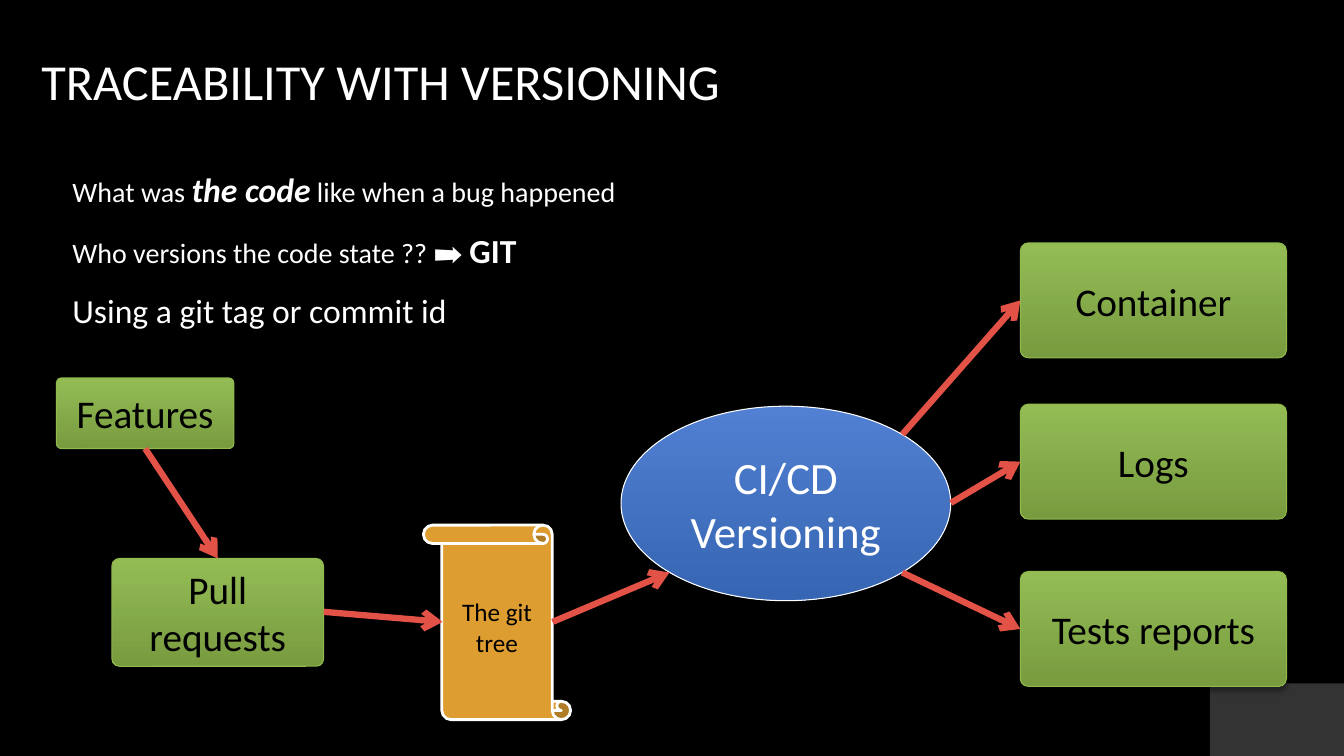
from dataclasses import dataclass

from lxml import etree
from pptx import Presentation
from pptx.dml.color import RGBColor
from pptx.enum.shapes import MSO_CONNECTOR as Connector, MSO_SHAPE as Shape
from pptx.enum.text import MSO_ANCHOR as Anchor, MSO_AUTO_SIZE as AutoSize, PP_ALIGN as Align
from pptx.oxml.ns import qn
from pptx.util import Inches, Pt

FONT = "Calibri"
COLORS = {
    "background": "000000",
    "white": "FFFFFF",
    "black": "000000",
    "green_top": "93BC55",
    "green_bottom": "789B3F",
    "green_line": "90BA4C",
    "blue_top": "5180D2",
    "blue_bottom": "3665B3",
    "scroll": "DD9D31",
    "arrow": "E25247",
}


@dataclass
class Node:
    text: str
    left: float
    top: float
    width: float
    height: float
    kind: Shape = Shape.ROUNDED_RECTANGLE
    fill: tuple[str, ...] = ("green_top", "green_bottom")
    line: str = "green_line"
    line_width: float = 0.75
    size: int = 28
    color: str = "black"
    flipped: bool = False


@dataclass
class Arrow:
    start: tuple[float, float]
    end: tuple[float, float]


OUTPUT = {"left": 10.12, "width": 2.64, "height": 1.14}
NODES = [
    Node("The git tree", 4.2, 5.21, 1.46, 1.93, Shape.VERTICAL_SCROLL,
         ("scroll",), "white", 2, 18, flipped=True),
    Node("CI/CD Versioning", 6.16, 4.03, 3.27, 1.93, Shape.OVAL,
         ("blue_top", "blue_bottom"), "white", size=32, color="white"),
    Node("Container", top=2.41, **OUTPUT),
    Node("Logs", top=4.01, **OUTPUT),
    Node("Tests reports", top=5.67, **OUTPUT),
    Node("Features", 0.56, 3.75, 1.76, 0.7),
    Node("Pull requests", 1.11, 5.54, 2.1, 1.07),
]
ARROWS = [
    Arrow((1.44, 4.45), (2.16, 5.54)),
    Arrow((3.21, 6.07), (4.39, 6.17)),
    Arrow((5.48, 6.17), (6.64, 5.68)),
    Arrow((8.95, 4.31), (10.12, 2.98)),
    Arrow((9.43, 4.99), (10.12, 4.58)),
    Arrow((8.95, 5.68), (10.12, 6.24)),
]
QUESTIONS = [
    [("What was ", {}),
     ("the code", {"size": 24, "bold": True, "italic": True}),
     (" like when a bug happened", {})],
    [("Who versions the code state ?? ➡️ ", {}),
     ("GIT", {"size": 24, "bold": True})],
    [("Using a git tag or commit id", {"size": 24})],
]


def rgb(name: str) -> RGBColor:
    return RGBColor.from_string(COLORS[name])


def add_span(para, text: str, *, size: int = 20, color: str = "white",
             bold: bool = False, italic: bool = False) -> None:
    span = para.add_run()
    span.text = text
    font = span.font
    font.name, font.size = FONT, Pt(size)
    font.bold, font.italic = bold, italic
    font.color.rgb = rgb(color)


def add_shadow(shape) -> None:
    effects = shape.element.spPr.find(qn("a:effectLst"))
    outer = etree.SubElement(effects, qn("a:outerShdw"), blurRad=str(Pt(4)),
                             dist=str(Pt(3)), dir="5400000", rotWithShape="0")
    tint = etree.SubElement(outer, qn("a:srgbClr"), val=COLORS["black"])
    etree.SubElement(tint, qn("a:alpha"), val="35000")


def flip(shape) -> None:
    shape.element.spPr.find(qn("a:xfrm")).set("flipH", "1")


def add_corner(page) -> None:
    corner = page.shapes.add_shape(Shape.ROUND_1_RECTANGLE, Inches(12), Inches(6.78),
                                   Inches(1.33), Inches(0.72))
    corner.adjustments[0] = 0
    flip(corner)
    corner.shadow.inherit = False
    corner.line.fill.background()
    corner.fill.solid()
    corner.fill.fore_color.rgb = rgb("white")
    tint = corner.element.spPr.find(qn("a:solidFill"))[0]
    etree.SubElement(tint, qn("a:alpha"), val="20000")


def add_title(page, text: str) -> None:
    title = page.shapes.title
    title.left, title.top = Inches(0.31), Inches(0)
    title.width, title.height = Inches(11.08), Inches(1.59)
    frame = title.text_frame
    frame.vertical_anchor = Anchor.MIDDLE
    para = frame.paragraphs[0]
    para.alignment = Align.LEFT
    add_span(para, text, size=36)


def add_questions(page) -> None:
    box = page.shapes.add_textbox(Inches(0.62), Inches(1.43), Inches(6.05), Inches(1.86))
    frame = box.text_frame
    frame.word_wrap = True
    frame.auto_size = AutoSize.SHAPE_TO_FIT_TEXT
    for index, spans in enumerate(QUESTIONS):
        para = frame.add_paragraph() if index else frame.paragraphs[0]
        para.line_spacing = 1.5
        for text, style in spans:
            add_span(para, text, **style)


def add_node(page, node: Node) -> None:
    shape = page.shapes.add_shape(node.kind, Inches(node.left), Inches(node.top),
                                  Inches(node.width), Inches(node.height))
    shape.shadow.inherit = False
    if node.kind == Shape.ROUNDED_RECTANGLE:
        shape.adjustments[0] = 0.07
    if node.flipped:
        flip(shape)
    if len(node.fill) == 1:
        shape.fill.solid()
        shape.fill.fore_color.rgb = rgb(node.fill[0])
    else:
        shape.fill.gradient()
        shape.fill.gradient_angle = 270
        for stop, name in zip(shape.fill.gradient_stops, node.fill):
            stop.color.rgb = rgb(name)
        add_shadow(shape)
    shape.line.color.rgb = rgb(node.line)
    shape.line.width = Pt(node.line_width)
    frame = shape.text_frame
    frame.word_wrap = True
    frame.vertical_anchor = Anchor.MIDDLE
    para = frame.paragraphs[0]
    para.alignment = Align.CENTER
    add_span(para, node.text, size=node.size, color=node.color)


def add_arrow(page, arrow: Arrow) -> None:
    ends = [Inches(value) for value in (*arrow.start, *arrow.end)]
    link = page.shapes.add_connector(Connector.STRAIGHT, *ends)
    link.line.color.rgb = rgb("arrow")
    link.line.width = Pt(4.5)
    etree.SubElement(link.line._get_or_add_ln(), qn("a:tailEnd"), type="arrow")
    etree.SubElement(link.element.spPr, qn("a:effectLst"))


def main() -> None:
    deck = Presentation()
    deck.slide_width, deck.slide_height = Inches(13.33), Inches(7.5)
    page = deck.slides.add_slide(deck.slide_layouts[5])
    page.background.fill.solid()
    page.background.fill.fore_color.rgb = rgb("background")

    # Corner decoration and text
    add_corner(page)
    add_title(page, "TRACEABILITY WITH VERSIONING")
    add_questions(page)

    # Flow from features to versioned outputs
    for node in NODES:
        add_node(page, node)
    for arrow in ARROWS:
        add_arrow(page, arrow)
    deck.save("out.pptx")


if __name__ == "__main__":
    main()
